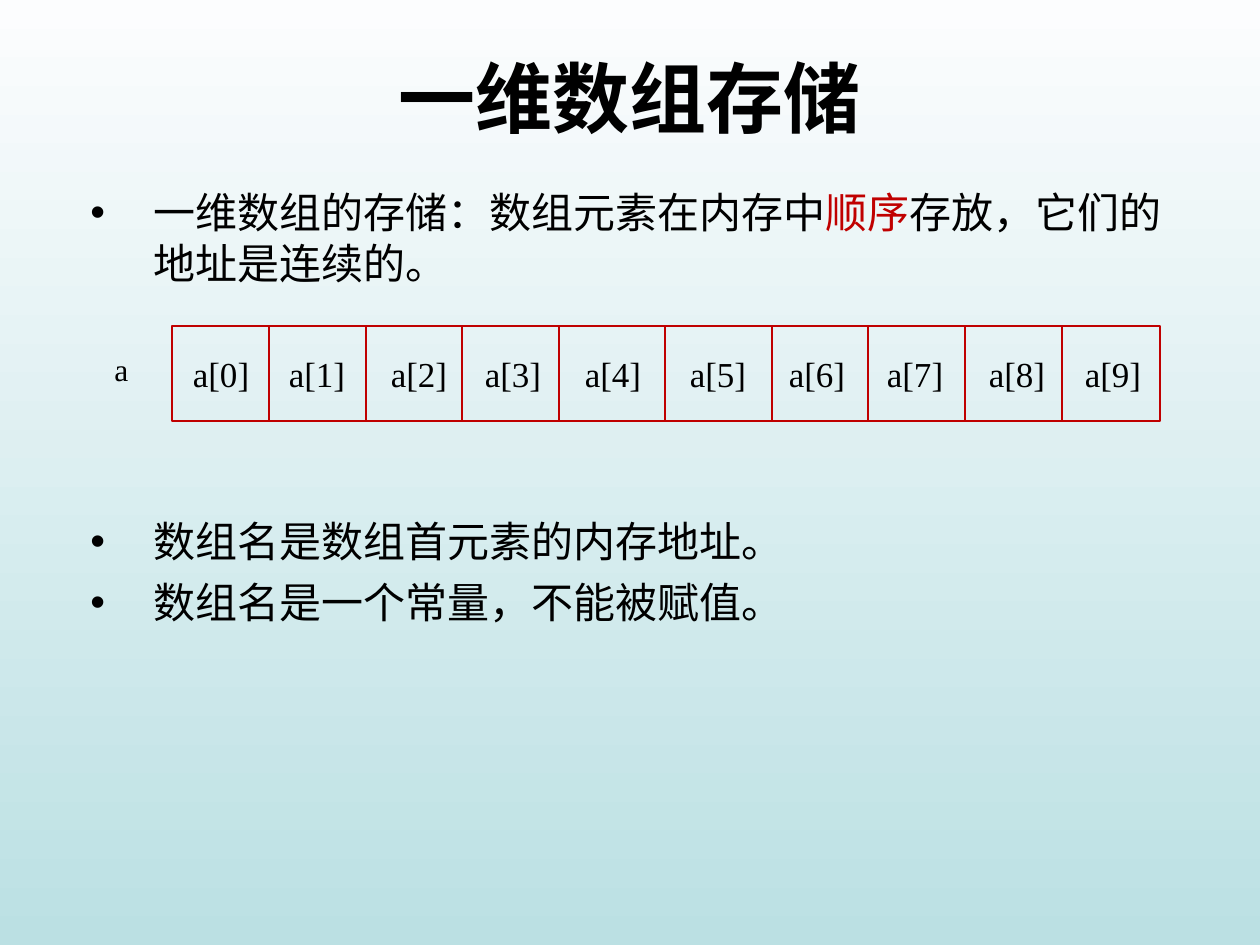
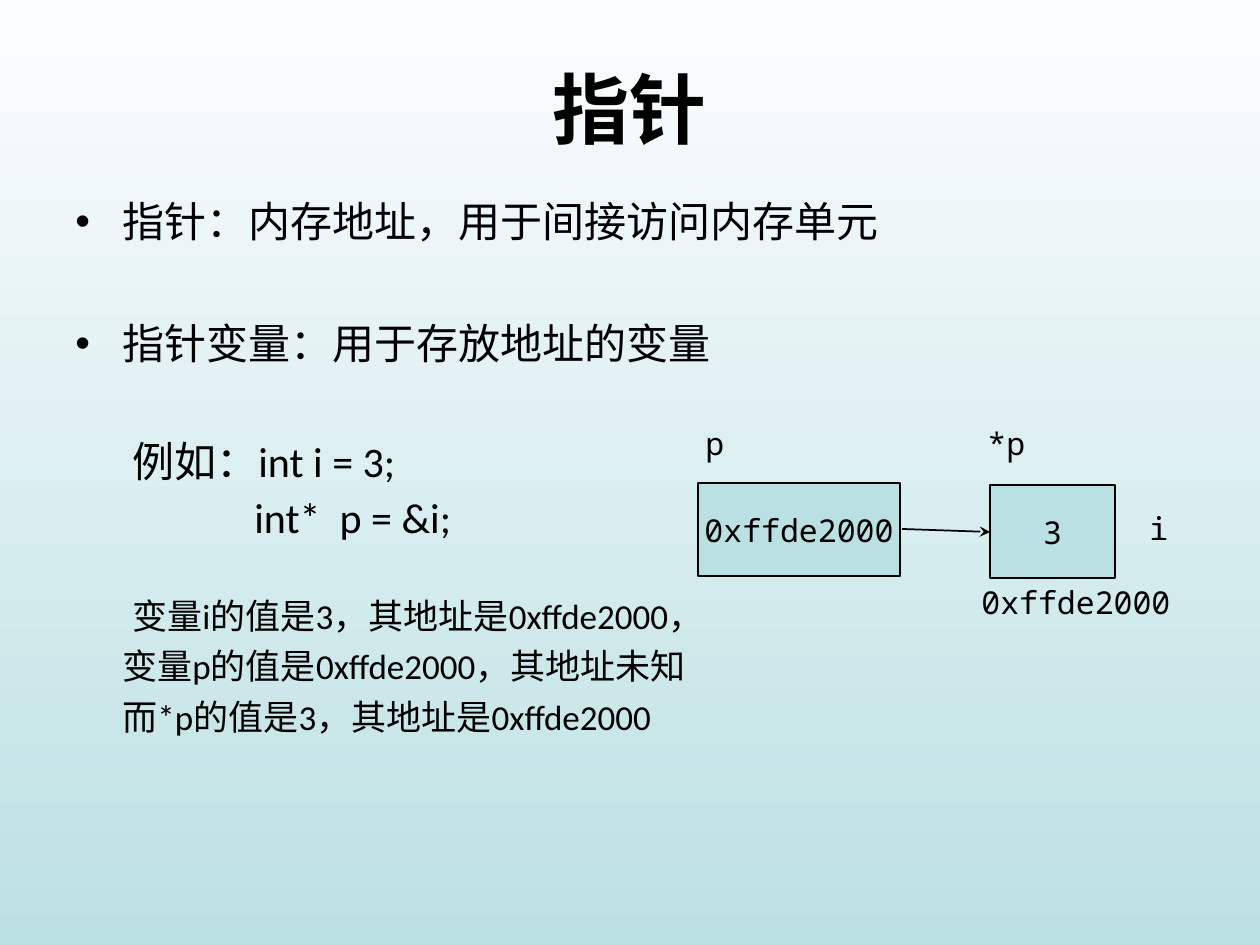
from lxml import etree
from pptx import Presentation
from pptx.dml.color import RGBColor
from pptx.enum.shapes import MSO_CONNECTOR, MSO_SHAPE
from pptx.enum.text import MSO_ANCHOR, MSO_AUTO_SIZE, PP_ALIGN
from pptx.oxml.ns import qn
from pptx.util import Emu, Pt

PX = 914400 / 126
LEFT, CENTER = PP_ALIGN.LEFT, PP_ALIGN.CENTER
TOP, MIDDLE = MSO_ANCHOR.TOP, MSO_ANCHOR.MIDDLE
NO_FIT = MSO_AUTO_SIZE.NONE
STRAIGHT, RECTANGLE = MSO_CONNECTOR.STRAIGHT, MSO_SHAPE.RECTANGLE
TITLE_ONLY = 5

COLORS = {"ink": "000000", "accent": "C00000", "sky": "FCFDFE", "aqua": "BBE0E3"}
CJK_FONT = "Noto Sans CJK SC"
TITLE_STYLE = {"name": CJK_FONT, "size": Pt(44), "bold": True}
CELL_STYLE = {"name": "Times New Roman", "size": Pt(20)}
NAME_STYLE = {"name": "Times New Roman", "size": Pt(18)}
MEMORY_STYLE = {"name": "Noto Sans Mono", "size": Pt(18)}

CELL_EDGES = [0, 97, 194, 290, 387, 493, 600, 696, 793, 890, 988]
CELL_CENTERS = [49, 145, 247, 341, 441, 546, 645, 743, 845, 941]


def px(length):
    """Turn pixels into EMU."""
    return Emu(round(length * PX))


def color(name):
    """Look up a named colour."""
    return RGBColor.from_string(COLORS[name])


def add_child(parent, tag, **attributes):
    """Append a drawing element and return it."""
    child = etree.SubElement(parent, qn(tag))
    for name, value in attributes.items():
        child.set(name, value)
    return child


def apply(target, values):
    """Set attributes from a dict of format values."""
    for name, value in values.items():
        setattr(target, name, value)


def add_span(para, text, style, ink="ink"):
    """Add one run with Latin and East Asian fonts."""
    span = para.add_run()
    span.text = text
    apply(span.font, style)
    span.font.color.rgb = color(ink)
    add_child(span.font._element, "a:ea", typeface=CJK_FONT)


def set_text(shape, text, style, align=CENTER, anchor=MIDDLE, wrap=False):
    """Fill a shape with one formatted line."""
    frame = shape.text_frame
    apply(frame, {"word_wrap": wrap, "auto_size": NO_FIT, "vertical_anchor": anchor})
    para = frame.paragraphs[0]
    para.alignment = align
    add_span(para, text, style)


def add_label(page, box, text, style, align=CENTER, anchor=MIDDLE):
    """Place a one-line text box."""
    shape = page.shapes.add_textbox(*map(px, box))
    set_text(shape, text, style, align, anchor)


def add_line(page, start, end, ink, width):
    """Draw a straight connector without shadow."""
    line = page.shapes.add_connector(STRAIGHT, *map(px, start + end))
    line.line.color.rgb = color(ink)
    line.line.width = Pt(width)
    add_child(line._element.spPr, "a:effectLst")
    return line


def add_rectangle(page, box, ink, width, fill=None):
    """Draw an outlined rectangle with an optional fill."""
    shape = page.shapes.add_shape(RECTANGLE, *map(px, box))
    shape.shadow.inherit = False
    if fill:
        shape.fill.solid()
        shape.fill.fore_color.rgb = color(fill)
    else:
        shape.fill.background()
    shape.line.color.rgb = color(ink)
    shape.line.width = Pt(width)
    return shape


def add_bullet(properties):
    """Give a paragraph a round black bullet."""
    bullet_color = add_child(properties, "a:buClr")
    add_child(bullet_color, "a:srgbClr", val=COLORS["ink"])
    add_child(properties, "a:buFont", typeface="Arial")
    add_child(properties, "a:buChar", char="•")


def add_body(page, box, font, hanging, rows):
    """Write rows of (spans, size, line height, space before, margin, bulleted)."""
    frame = page.shapes.add_textbox(*map(px, box)).text_frame
    apply(frame, {"word_wrap": True, "auto_size": NO_FIT})
    for index, (spans, size, height, before, margin, bulleted) in enumerate(rows):
        para = frame.add_paragraph() if index else frame.paragraphs[0]
        properties = para._p.get_or_add_pPr()
        properties.set("marL", str(px(margin)))
        properties.set("indent", str(px(-hanging if bulleted else 0)))
        if bulleted:
            add_bullet(properties)
        apply(para, {"line_spacing": Pt(height), "space_before": Pt(before)})
        for text, ink in spans:
            add_span(para, text, {"name": font, "size": Pt(size)}, ink)


def add_page(deck, title, top):
    """Add a title-only slide with its heading."""
    page = deck.slides.add_slide(deck.slide_layouts[TITLE_ONLY])
    heading = page.shapes.title
    apply(heading, {"left": px(63), "top": px(top), "width": px(1134), "height": px(158)})
    set_text(heading, title, TITLE_STYLE, wrap=True)
    return page


def add_array(page, left, top, height):
    """Draw the row of array cells and the array name."""
    add_rectangle(page, (left, top, CELL_EDGES[-1], height), "accent", 0.75)
    for edge in CELL_EDGES[1:-1]:
        add_line(page, (left + edge, top), (left + edge, top + height), "accent", 0.75)
    for index, center in enumerate(CELL_CENTERS):
        add_label(page, (left + center - 41, top + 20, 82, 54), f"a[{index}]", CELL_STYLE)
    add_label(page, (left - 70, top + 18, 39, 50), "a", NAME_STYLE)


def add_memory(page, left, top):
    """Draw a pointer cell aimed at the cell it refers to."""
    cells = [((5, 65, 202, 93), "0xffde2000"), ((297, 67, 125, 93), "3")]
    labels = [
        ((0, 0, 44, 50), "p"),
        ((282, 0, 63, 50), "*p"),
        ((444, 85, 44, 50), "i"),
        ((276, 159, 215, 50), "0xffde2000"),
    ]
    for (x, y, width, height), text in cells:
        cell = add_rectangle(page, (left + x, top + y, width, height), "ink", 1, "aqua")
        set_text(cell, text, MEMORY_STYLE)
    arrow = add_line(page, (left + 209, top + 111), (left + 297, top + 114), "ink", 1)
    add_child(arrow.line._get_or_add_ln(), "a:tailEnd", type="stealth")
    for (x, y, width, height), text in labels:
        add_label(page, (left + x, top + y, width, height), text, MEMORY_STYLE, LEFT, TOP)


def build_array_page(deck):
    """Build the slide on array storage."""
    page = add_page(deck, "一维数组存储", 18)
    storage = [
        ("一维数组的存储：数组元素在内存中", "ink"),
        ("顺序", "accent"),
        ("存放，它们的地址是连续的。", "ink"),
    ]
    rows = [
        (storage, 24, 29, 0, 78, True),
        ([("数组名是数组首元素的内存地址。", "ink")], 24, 29, 130, 78, True),
        ([("数组名是一个常量，不能被赋值。", "ink")], 24, 29, 6, 78, True),
    ]
    add_body(page, (63, 180, 1134, 619), "Arial", 63, rows)
    add_array(page, 172, 326, 95)


def build_pointer_page(deck):
    """Build the slide on pointers."""
    page = add_page(deck, "指针", 29)
    lines = [
        ("指针：内存地址，用于间接访问内存单元", 24, 29, 0, 47, True),
        ("指针变量：用于存放地址的变量", 24, 29, 41, 47, True),
        ("例如：int i = 3;", 24, 29, 38, 57, False),
        ("int*  p = &i;", 24, 29, 3, 179, False),
        ("变量i的值是3，其地址是0xffde2000，", 20, 24, 30, 57, False),
        ("变量p的值是0xffde2000，其地址未知", 20, 24, 5, 47, False),
        ("而*p的值是3，其地址是0xffde2000", 20, 24, 5, 47, False),
    ]
    rows = [([(text, "ink")], *layout) for text, *layout in lines]
    add_body(page, (63, 189, 1134, 619), "Calibri", 47, rows)
    add_memory(page, 693, 418)


def set_background(deck):
    """Give the master a vertical gradient."""
    fill = deck.slide_master.background.fill
    fill.gradient()
    fill.gradient_angle = 270
    for stop, name, position in zip(fill.gradient_stops, ("sky", "aqua"), (0, 1)):
        stop.color.rgb = color(name)
        stop.position = position


def main():
    """Build and save the deck."""
    deck = Presentation()
    apply(deck, {"slide_width": px(1260), "slide_height": px(945)})
    set_background(deck)
    build_array_page(deck)
    build_pointer_page(deck)
    deck.save("out.pptx")


if __name__ == "__main__":
    main()
